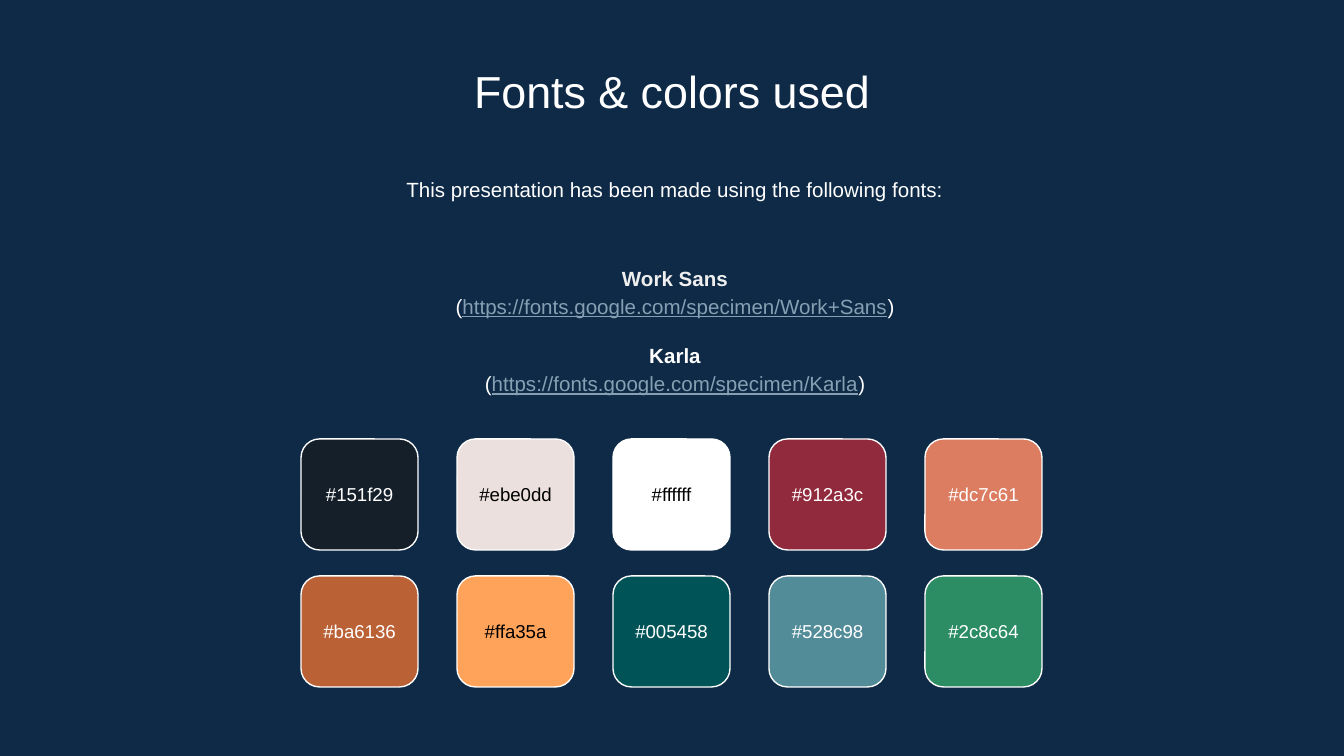
from dataclasses import dataclass

from pptx import Presentation
from pptx import util as u
from pptx.dml.color import RGBColor
from pptx.enum import shapes, text

# Content
TITLE = "Fonts & colors used"
INTRO = "This presentation has been made using the following fonts:"
FONTS = [
    ("Work Sans", "https://fonts.google.com/specimen/Work+Sans", "EFEFEF"),
    ("Karla", "https://fonts.google.com/specimen/Karla", "FFFFFF"),
]
SWATCHES = [
    ["151f29", "ebe0dd", "ffffff", "912a3c", "dc7c61"],
    ["ba6136", "ffa35a", "005458", "528c98", "2c8c64"],
]
DARK_LABELS = {"ebe0dd", "ffffff", "ffa35a"}


@dataclass(frozen=True)
class Theme:
    font: str = "Arial"
    background: str = "0E2A47"
    white: str = "FFFFFF"
    black: str = "000000"
    link: str = "869FB2"
    title_size: int = 24
    body_size: int = 11
    label_size: int = 10


THEME = Theme()

# Layout in px
WIDTH, HEIGHT = 1344, 756
INSET = 13
TITLE_BOX = (154, 51, 1036, 71)
INTRO_BOX = (157, 160, 1036, 65)
FONTS_BOX = (157, 237, 1036, 184)
GRID_LEFT, GRID_TOP = 301, 439
SWATCH_W, SWATCH_H = 117, 111
STEP_X, STEP_Y = 156, 137
LABEL_H = 65


def px(length):
    return u.Emu(round(length * 914400 / 134.4))


def rgb(color):
    return RGBColor.from_string(color.upper())


def add_text(page, area, paragraphs, size, spacing=1.0, middle=False):
    """Each paragraph is (space before in pt, [(words, format), ...])."""
    frame = page.shapes.add_textbox(*map(px, area)).text_frame
    frame.word_wrap = True
    frame.margin_left = frame.margin_right = px(INSET)
    frame.margin_top = frame.margin_bottom = px(INSET)
    frame.vertical_anchor = text.MSO_ANCHOR.MIDDLE if middle else text.MSO_ANCHOR.TOP
    for index, (before, spans) in enumerate(paragraphs):
        para = frame.add_paragraph() if index else frame.paragraphs[0]
        para.alignment = text.PP_ALIGN.CENTER
        para.line_spacing = spacing
        para.space_before = u.Pt(before)
        for words, style in spans:
            span = para.add_run()
            span.text = words
            span.font.name = THEME.font
            span.font.size = u.Pt(size)
            span.font.bold = style.get("bold", False)
            span.font.underline = style.get("underline", False)
            span.font.color.rgb = rgb(style.get("color", THEME.white))


def add_swatch(page, left, top, color):
    tile = page.shapes.add_shape(
        shapes.MSO_SHAPE.ROUNDED_RECTANGLE, *map(px, (left, top, SWATCH_W, SWATCH_H)))
    tile.shadow.inherit = False
    tile.fill.solid()
    tile.fill.fore_color.rgb = rgb(color)
    tile.line.color.rgb = rgb(THEME.white)
    tile.line.width = u.Pt(0.75)
    label_color = THEME.black if color in DARK_LABELS else THEME.white
    label_area = (left, top + (SWATCH_H - LABEL_H) / 2, SWATCH_W, LABEL_H)
    add_text(page, label_area, [(0, [("#" + color, {"color": label_color})])],
             THEME.label_size, middle=True)


def main():
    deck = Presentation()
    deck.slide_width, deck.slide_height = px(WIDTH), px(HEIGHT)
    page = deck.slides.add_slide(deck.slide_layouts[6])
    page.background.fill.solid()
    page.background.fill.fore_color.rgb = rgb(THEME.background)

    # Heading and intro
    add_text(page, TITLE_BOX, [(0, [(TITLE, {})])], THEME.title_size)
    add_text(page, INTRO_BOX, [(0, [(INTRO, {})])], THEME.body_size, spacing=1.15)

    # Font names with their addresses
    paragraphs = []
    for index, (name, address, color) in enumerate(FONTS):
        paragraphs.append((11 if index else 0, [(name, {"bold": True, "color": color})]))
        paragraphs.append((0, [("(", {}),
                               (address, {"color": THEME.link, "underline": True}),
                               (")", {})]))
    add_text(page, FONTS_BOX, paragraphs, THEME.body_size, spacing=1.15, middle=True)

    # Colour grid
    for row, colors in enumerate(SWATCHES):
        for column, color in enumerate(colors):
            add_swatch(page, GRID_LEFT + column * STEP_X, GRID_TOP + row * STEP_Y, color)

    deck.save("out.pptx")


if __name__ == "__main__":
    main()
